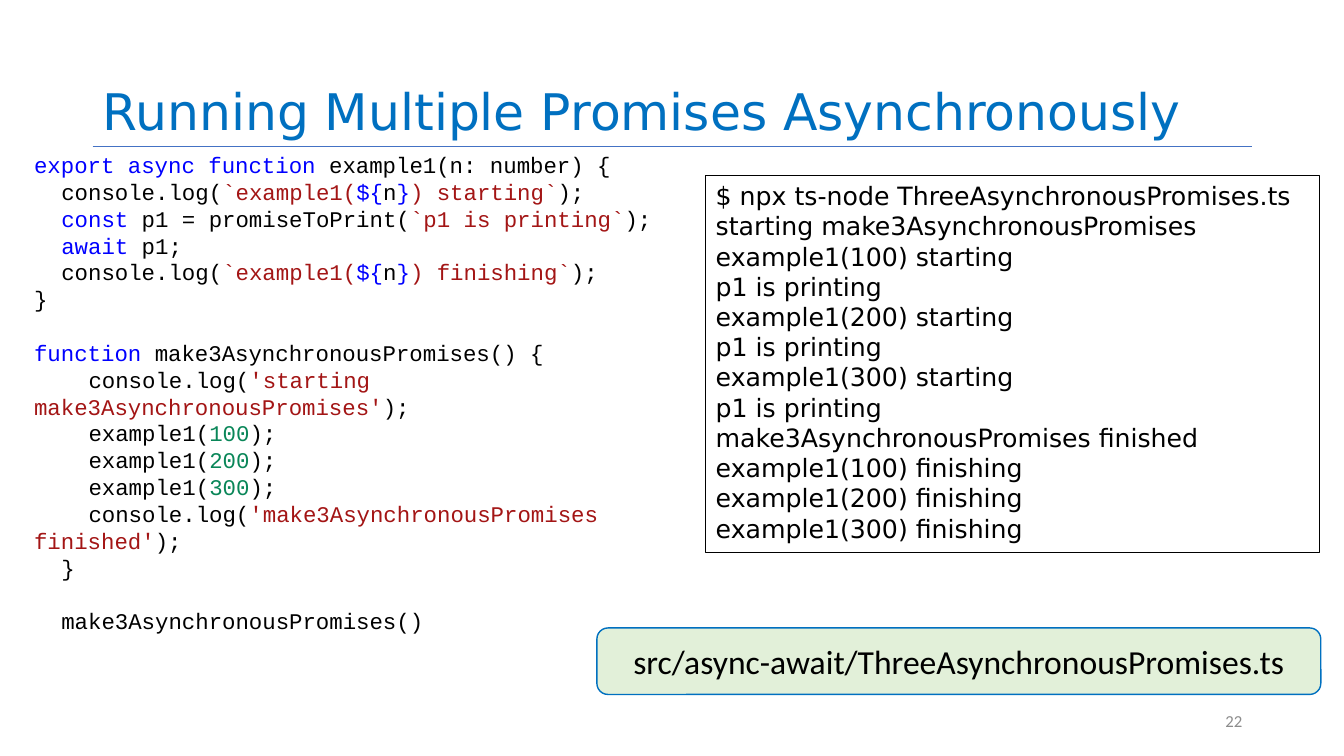
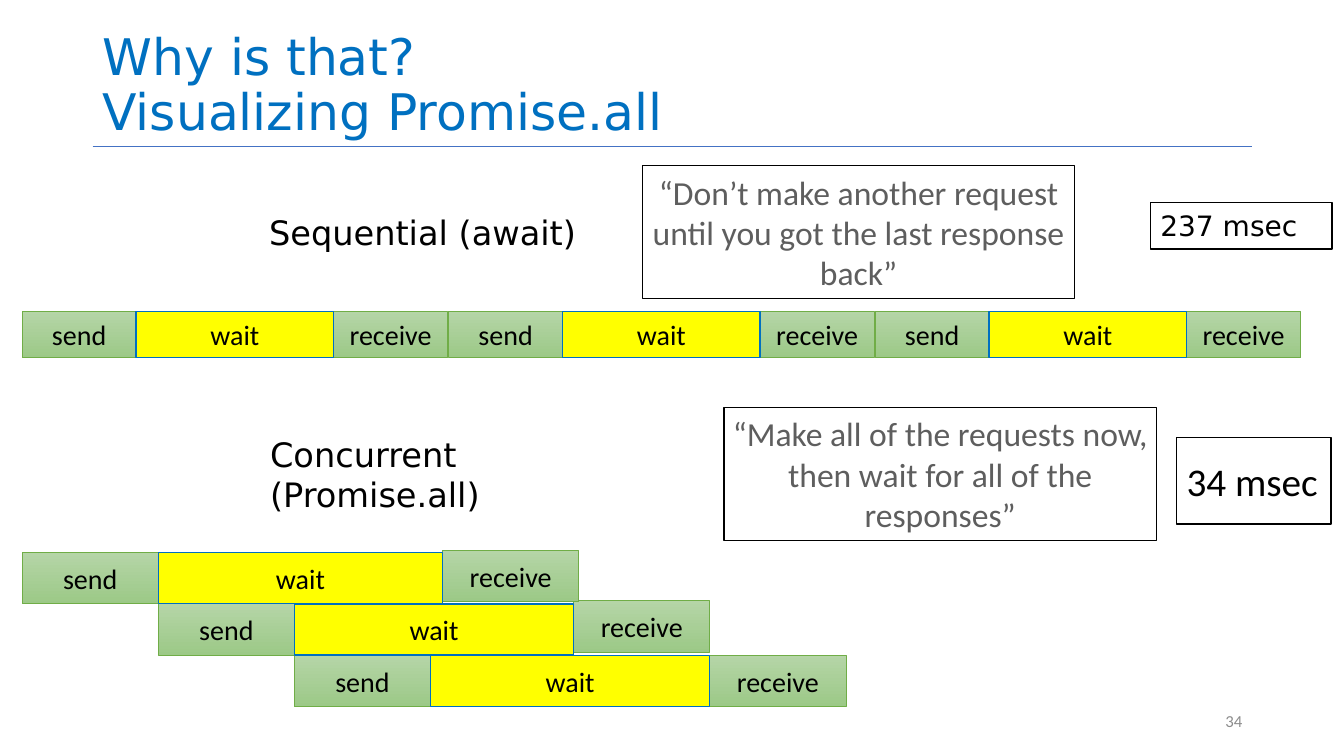
from dataclasses import dataclass
from typing import NamedTuple

from lxml import etree
from pptx import Presentation, util as u
from pptx.dml.color import RGBColor
from pptx.enum import shapes, text
from pptx.oxml.ns import qn

LEFT, CENTER, RIGHT = text.PP_ALIGN.LEFT, text.PP_ALIGN.CENTER, text.PP_ALIGN.RIGHT
TOP, MIDDLE, BOTTOM = text.MSO_ANCHOR.TOP, text.MSO_ANCHOR.MIDDLE, text.MSO_ANCHOR.BOTTOM
RECTANGLE = shapes.MSO_SHAPE.RECTANGLE


@dataclass(frozen=True)
class Theme:
    sans: str = "DejaVu Sans"
    body: str = "Calibri"
    mono: str = "Courier New"
    title_size: int = 36
    figure_size: int = 28
    label_size: int = 24
    step_size: int = 20
    output_size: int = 18
    code_size: int = 16
    footer_size: int = 12
    black: str = "000000"
    white: str = "FFFFFF"
    blue: str = "0070C0"
    rule: str = "4472C4"
    footer: str = "8C8C8C"
    quote: str = "5E5E5E"
    green_line: str = "70AD47"
    green_top: str = "B5D5A7"
    green_bottom: str = "9CC987"
    path_fill: str = "E2F0D9"
    wait_fill: str = "FFFF00"
    keyword: str = "0000FF"
    string: str = "A31515"
    number: str = "098658"


THEME = Theme()


class Box(NamedTuple):
    left: float
    top: float
    width: float
    height: float

    def lengths(self) -> list:
        return [u.Inches(value) for value in self]


class TextStyle(NamedTuple):
    font: str
    size: int
    color: str = THEME.black
    align: text.PP_ALIGN = LEFT
    anchor: text.MSO_ANCHOR = MIDDLE
    wrap: bool = True
    inset: float | None = None
    line_spacing: float = 1.0


class Paint(NamedTuple):
    """Fill colours (none, one, or the two ends of a gradient) and outline."""
    fills: tuple = ()
    line: str = THEME.black
    line_width: float = 1


class CodeLine(NamedTuple):
    indent: int
    runs: tuple
    gap_before: bool = False


class Cycle(NamedTuple):
    """One request: send, wait, receive."""
    left: float
    top: float
    height: float
    end_width: float
    wait_width: float
    receive_rise: float = 0


class Note(NamedTuple):
    box: Box
    words: str
    style: TextStyle


TITLE = TextStyle(THEME.sans, THEME.title_size, THEME.blue, anchor=BOTTOM, line_spacing=0.9)
FOOTER = TextStyle(THEME.body, THEME.footer_size, THEME.footer, RIGHT)
CODE = TextStyle(THEME.mono, THEME.code_size, anchor=TOP)
OUTPUT = TextStyle(THEME.sans, THEME.output_size, anchor=TOP)
FILE_PATH = TextStyle(THEME.body, THEME.label_size, align=CENTER)
STEP = TextStyle(THEME.body, THEME.step_size, align=CENTER)
LABEL = TextStyle(THEME.sans, THEME.label_size, wrap=False)
QUOTE = TextStyle(THEME.body, THEME.label_size, THEME.quote, CENTER, inset=0.06)
SLOW_TIME = TextStyle(THEME.sans, THEME.step_size)
FAST_TIME = TextStyle(THEME.body, THEME.figure_size)

OUTLINED = Paint()
NOTE = Paint((THEME.white,))
PATH_BADGE = Paint((THEME.path_fill,), THEME.blue)
WAIT = Paint((THEME.wait_fill,), THEME.blue)
ACTIVE = Paint((THEME.green_top, THEME.green_bottom), THEME.green_line, 0.5)

CODE_INDENT = 0.27
CODE_GAP = 19


def plain(words: str) -> tuple:
    return words, THEME.black


def keyword(words: str) -> tuple:
    return words, THEME.keyword


def string(words: str) -> tuple:
    return words, THEME.string


def log_example(state: str) -> CodeLine:
    return CodeLine(1, (plain("console.log("), string("`example1("), keyword("${"), plain("n"),
                        keyword("}"), string(f") {state}`"), plain(");")))


def log_message(message: str) -> CodeLine:
    return CodeLine(2, (plain("console.log("), string(f"'{message}'"), plain(");")))


def call_example(argument: int) -> CodeLine:
    return CodeLine(2, (plain("example1("), (str(argument), THEME.number), plain(");")))


ARGUMENTS = (100, 200, 300)
CODE_LINES = (
    CodeLine(0, (keyword("export async function"), plain(" example1(n: number) {"))),
    log_example("starting"),
    CodeLine(1, (keyword("const"), plain(" p1 = promiseToPrint("),
                 string("`p1 is printing`"), plain(");"))),
    CodeLine(1, (keyword("await"), plain(" p1;"))),
    log_example("finishing"),
    CodeLine(0, (plain("}"),)),
    CodeLine(0, (keyword("function"), plain(" make3AsynchronousPromises() {")), True),
    log_message("starting make3AsynchronousPromises"),
    *map(call_example, ARGUMENTS),
    log_message("make3AsynchronousPromises finished"),
    CodeLine(1, (plain("}"),)),
    CodeLine(1, (plain("make3AsynchronousPromises()"),), True),
)
OUTPUT_LINES = (
    "$ npx ts-node ThreeAsynchronousPromises.ts",
    "starting make3AsynchronousPromises",
    *(line for n in ARGUMENTS for line in (f"example1({n}) starting", "p1 is printing")),
    "make3AsynchronousPromises finished",
    *(f"example1({n}) finishing" for n in ARGUMENTS),
)

SEQUENTIAL = [Cycle(0.22 + 4.23 * i, 3.09, 0.46, 1.13, 1.96) for i in range(3)]
CONCURRENT = [
    Cycle(0.22 + 1.35 * i, 5.48 + 0.51 * i, 0.51, 1.35, wait_width, rise)
    for i, (wait_width, rise) in enumerate([(2.82, 0.02), (2.77, 0.03), (2.77, 0)])
]
LABELS = (
    Note(Box(2.57, 1.8, 3.3, 1), "Sequential (await)", LABEL),
    Note(Box(2.58, 4.2, 4.14, 1), "Concurrent (Promise.all)", LABEL),
)
NOTES = (
    Note(Box(6.37, 1.64, 4.29, 1.32),
         "“Don’t make another request until you got the last response back”", QUOTE),
    Note(Box(7.18, 4.04, 4.29, 1.32),
         "“Make all of the requests now, then wait for all of the responses”", QUOTE),
    Note(Box(11.41, 2.01, 1.8, 0.46), "237 msec", SLOW_TIME),
    Note(Box(11.67, 4.34, 1.53, 0.86), "34 msec", FAST_TIME),
)


def style_text(frame, style: TextStyle) -> None:
    frame.word_wrap = style.wrap
    frame.vertical_anchor = style.anchor
    if style.inset is not None:
        inset = u.Inches(style.inset)
        frame.margin_left = frame.margin_right = frame.margin_top = frame.margin_bottom = inset
    for paragraph in frame.paragraphs:
        paragraph.alignment = style.align
        paragraph.line_spacing = style.line_spacing
        paragraph.font.name = style.font
        paragraph.font.size = u.Pt(style.size)
        paragraph.font.color.rgb = RGBColor.from_string(style.color)


def add_text(slide, box: Box, words: str, style: TextStyle) -> None:
    frame = slide.shapes.add_textbox(*box.lengths()).text_frame
    frame.text = words
    style_text(frame, style)


def add_panel(slide, box: Box, words: str, style: TextStyle, paint: Paint, kind=RECTANGLE) -> None:
    """Add a filled or outlined shape with text in it."""
    shape = slide.shapes.add_shape(kind, *box.lengths())
    shape.shadow.inherit = False
    colors = [RGBColor.from_string(color) for color in paint.fills]
    if len(colors) == 2:
        shape.fill.gradient()
        shape.fill.gradient_angle = 270
        for stop, color in zip(shape.fill.gradient_stops, colors):
            stop.color.rgb = color
    elif colors:
        shape.fill.solid()
        shape.fill.fore_color.rgb = colors[0]
    else:
        shape.fill.background()
    shape.line.color.rgb = RGBColor.from_string(paint.line)
    shape.line.width = u.Pt(paint.line_width)
    shape.text_frame.text = words
    style_text(shape.text_frame, style)


def add_code(slide, box: Box, lines: tuple) -> None:
    frame = slide.shapes.add_textbox(*box.lengths()).text_frame
    for index, line in enumerate(lines):
        paragraph = frame.add_paragraph() if index else frame.paragraphs[0]
        properties = paragraph._p.get_or_add_pPr()
        properties.set("marL", "0")
        properties.set("indent", str(u.Inches(CODE_INDENT * line.indent)))
        if line.gap_before:
            paragraph.space_before = u.Pt(CODE_GAP)
        for words, color in line.runs:
            run = paragraph.add_run()
            run.text = words
            run.font.color.rgb = RGBColor.from_string(color)
    style_text(frame, CODE)


def add_cycle(slide, cycle: Cycle) -> None:
    wait_left = cycle.left + cycle.end_width
    receive_left = wait_left + cycle.wait_width
    steps = (
        ("send", cycle.left, cycle.top, cycle.end_width, ACTIVE),
        ("receive", receive_left, cycle.top - cycle.receive_rise, cycle.end_width, ACTIVE),
        ("wait", wait_left, cycle.top, cycle.wait_width, WAIT),
    )
    for words, left, top, width, paint in steps:
        add_panel(slide, Box(left, top, width, cycle.height), words, STEP, paint)


def add_base_slide(presentation, title: str, number: int):
    """Add a slide with the shared title, rule and page number."""
    slide = presentation.slides.add_slide(presentation.slide_layouts[6])
    rule = slide.shapes.add_connector(
        shapes.MSO_CONNECTOR.STRAIGHT,
        u.Inches(0.92), u.Inches(1.45), u.Inches(12.42), u.Inches(1.45))
    rule.line.color.rgb = RGBColor.from_string(THEME.rule)
    rule.line.width = u.Pt(0.5)
    etree.SubElement(rule._element.spPr, qn("a:effectLst"))
    add_text(slide, Box(0.92, 0, 11.5, 1.45), title, TITLE)
    add_text(slide, Box(9.42, 6.95, 3, 0.4), str(number), FOOTER)
    return slide


def build_example_slide(presentation) -> None:
    slide = add_base_slide(presentation, "Running Multiple Promises Asynchronously", 22)
    add_code(slide, Box(0.24, 1.45, 6.76, 4.95), CODE_LINES)
    add_panel(slide, Box(7, 1.74, 6.09, 3.74), "\n".join(OUTPUT_LINES), OUTPUT, OUTLINED)
    add_panel(slide, Box(5.92, 6.23, 7.18, 0.66), "src/async-await/ThreeAsynchronousPromises.ts",
              FILE_PATH, PATH_BADGE, shapes.MSO_SHAPE.ROUNDED_RECTANGLE)


def build_timing_slide(presentation) -> None:
    slide = add_base_slide(presentation, "Why is that?\vVisualizing Promise.all", 34)
    for cycle in CONCURRENT[::-1] + SEQUENTIAL:
        add_cycle(slide, cycle)
    for label in LABELS:
        add_text(slide, *label)
    for note in NOTES:
        add_panel(slide, *note, NOTE)


def main() -> None:
    presentation = Presentation()
    presentation.slide_width = u.Inches(13.33)
    presentation.slide_height = u.Inches(7.5)
    build_example_slide(presentation)
    build_timing_slide(presentation)
    presentation.save("out.pptx")


if __name__ == "__main__":
    main()
